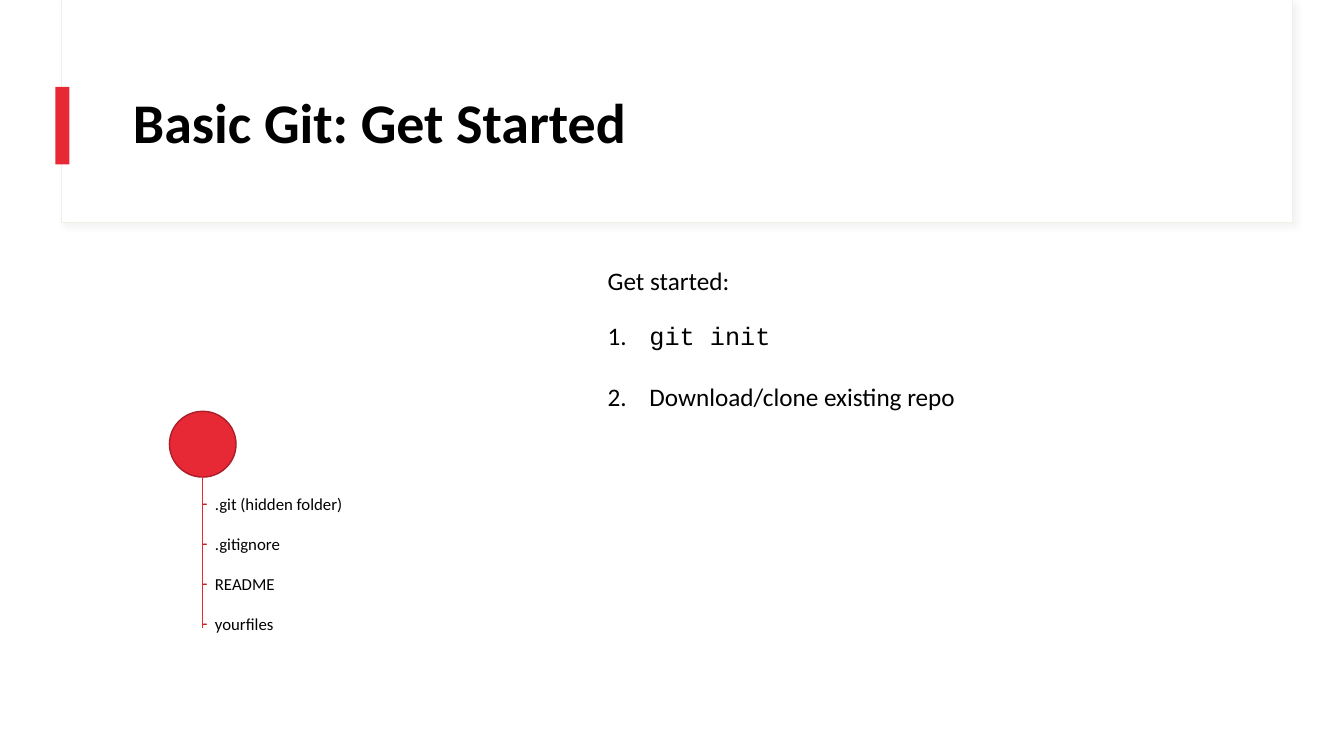
from lxml import etree
from pptx import Presentation
from pptx.dml.color import RGBColor
from pptx.enum import shapes, text
from pptx.oxml import ns
from pptx.util import Pt

RED = RGBColor(0xE7, 0x29, 0x36)
DARK = RGBColor(0xAB, 0x1E, 0x28)
DASH = RGBColor(0xC0, 0x00, 0x00)
EDGE = RGBColor(0xEF, 0xEF, 0xE3)
SHADE = RGBColor(0xD9, 0xD9, 0xD9)
WHITE = RGBColor(0xFF, 0xFF, 0xFF)
BLACK = RGBColor(0, 0, 0)
SANS, MONO = "Calibri", "Courier New"
RECT = shapes.MSO_SHAPE.RECTANGLE
OVAL = shapes.MSO_SHAPE.OVAL


def sub(node, tag, **attrs):
    return etree.SubElement(node, ns.qn(tag), **attrs)


def draw(slide, kind, box, fill, line=None, width=1):
    shape = slide.shapes.add_shape(kind, *map(Pt, box))
    shape.shadow.inherit = False
    shape.fill.solid()
    shape.fill.fore_color.rgb = fill
    if line is None:
        shape.line.fill.background()
    else:
        shape.line.color.rgb = line
        shape.line.width = Pt(width)
    return shape


def shade(shape):
    """Give the shape a soft shadow to the lower right."""
    effects = shape._element.spPr.find(ns.qn("a:effectLst"))
    outer = sub(effects, "a:outerShdw", blurRad=str(Pt(4)), dist=str(Pt(3)),
                dir="2700000", algn="tl", rotWithShape="0")
    color = sub(outer, "a:srgbClr", val=str(SHADE))
    sub(color, "a:alpha", val="30000")


def write(para, words, size, font=SANS, bold=False):
    run = para.add_run()
    run.text = words
    run.font.size = Pt(size)
    run.font.name = font
    run.font.bold = bold
    run.font.color.rgb = BLACK


def add_text(slide, box, wrap=True):
    frame = slide.shapes.add_textbox(*map(Pt, box)).text_frame
    frame.word_wrap = wrap
    return frame


def add_para(frame, index, gap, hang):
    """Return paragraph number index, with a hanging indent."""
    para = frame.add_paragraph() if index else frame.paragraphs[0]
    if index:
        para.space_before = Pt(gap)
    props = para._p.get_or_add_pPr()
    props.set("marL", str(Pt(hang)))
    props.set("indent", str(-Pt(hang)))
    return para


def add_header(slide, box, title):
    left, top, width, height = box
    card = draw(slide, RECT, box, WHITE, EDGE, 0.75)
    shade(card)
    draw(slide, RECT, (left + 0.7, top, width - 0.7, height - 0.7), WHITE)
    draw(slide, RECT, (left - 4.3, top + 62, 10, 55.4), RED)
    holder = slide.shapes.title
    slide.shapes._spTree.append(holder._element)
    holder.left, holder.top = Pt(left + 43.9), Pt(top + 43.2)
    holder.width, holder.height = Pt(800.6), Pt(92.9)
    frame = holder.text_frame
    frame.word_wrap = True
    frame.auto_size = text.MSO_AUTO_SIZE.NONE
    frame.vertical_anchor = text.MSO_ANCHOR.MIDDLE
    para = frame.paragraphs[0]
    para.alignment = text.PP_ALIGN.LEFT
    para.line_spacing = 0.9
    write(para, title, 40, bold=True)


def add_tree(slide, box, files):
    """Draw the repository node with its files hanging below it."""
    left, top, width, height = box
    draw(slide, OVAL, (left, top, 47.6, 47), RED, DARK)
    frame = add_text(slide, (left + 16.5, top + 55.4, width - 16.5, height - 55.4))
    for index, name in enumerate(files):
        para = add_para(frame, index, 14.2, 8.9)
        props = para._p.get_or_add_pPr()
        sub(sub(props, "a:buClr"), "a:srgbClr", val=str(DASH))
        sub(props, "a:buFont", typeface=SANS)
        sub(props, "a:buChar", char="-")
        write(para, name, 12)
    stem = left + 23.7
    trunk = slide.shapes.add_connector(
        shapes.MSO_CONNECTOR.STRAIGHT,
        Pt(stem), Pt(top + 36), Pt(stem), Pt(top + 154.8))
    trunk.line.color.rgb = RED
    trunk.line.width = Pt(0.75)
    sub(trunk._element.spPr, "a:effectLst")


def add_steps(slide, box, head, steps):
    left, top, width, height = box
    frame = add_text(slide, (left, top, 112.3, 29), wrap=False)
    write(frame.paragraphs[0], head, 18)
    frame = add_text(slide, (left, top + 39.6, width, height - 39.6))
    for index, (words, font) in enumerate(steps):
        para = add_para(frame, index, 21.5, 29.8)
        write(para, f"{index + 1}.\t", 18)
        write(para, words, 18, font)


def main():
    deck = Presentation()
    deck.slide_width, deck.slide_height = Pt(960), Pt(540)
    slide = deck.slides.add_slide(deck.slide_layouts[5])
    add_header(slide, (43.9, 0, 879.1, 159.1), "Basic Git: Get Started")
    add_tree(slide, (121, 293.8, 157, 164),
             [".git (hidden folder)", ".gitignore", "README", "yourfiles"])
    add_steps(slide, (427, 185.8, 481.7, 112.3), "Get started:",
              [("git init", MONO), ("Download/clone existing repo", SANS)])
    deck.save("out.pptx")


if __name__ == "__main__":
    main()
